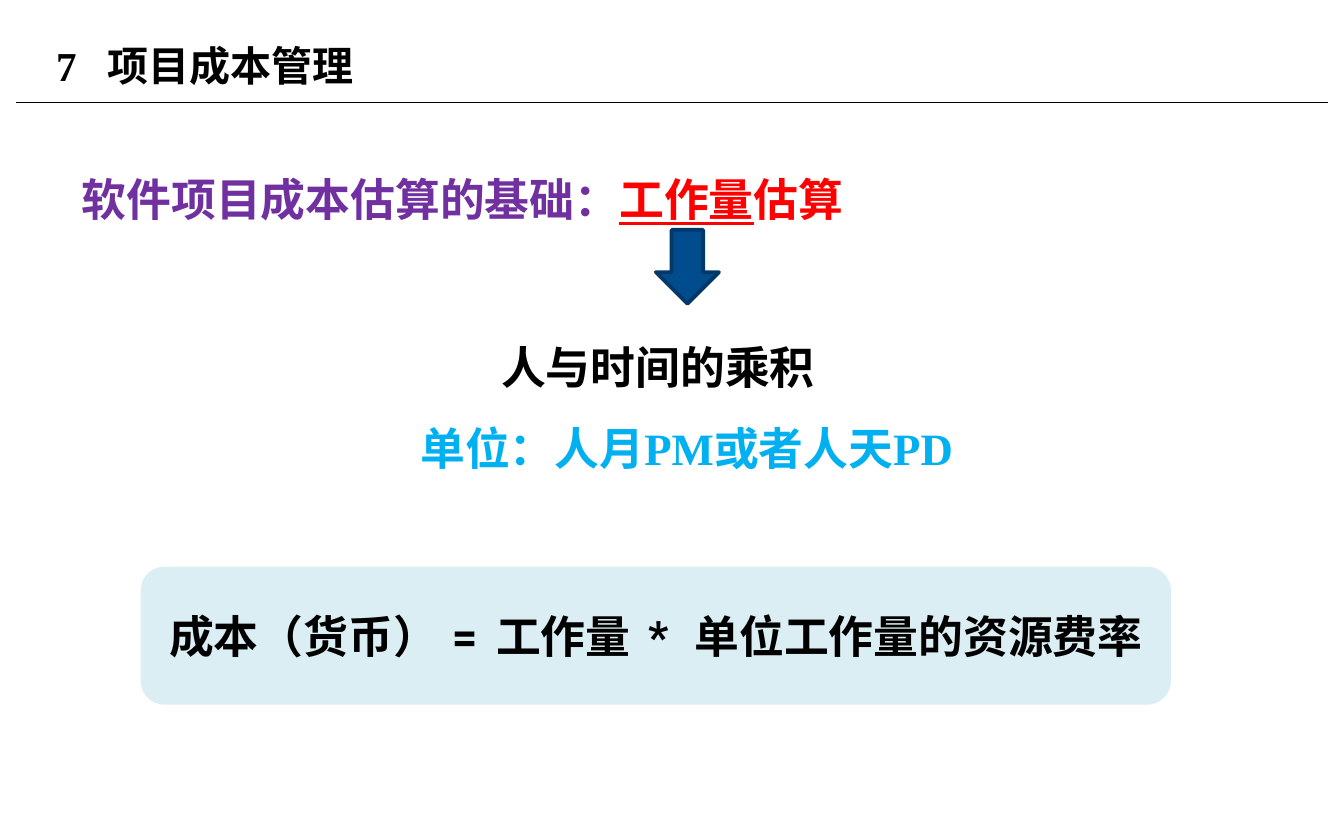
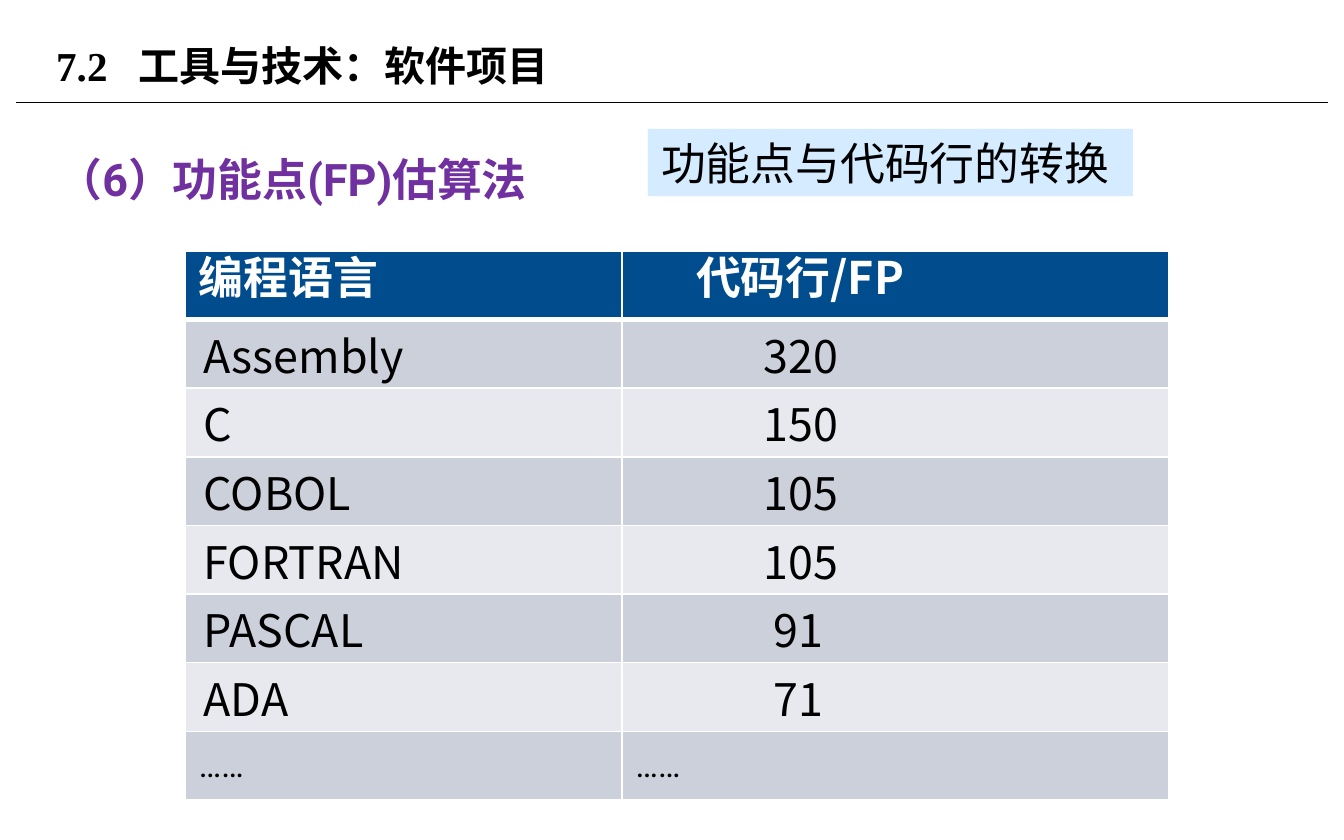
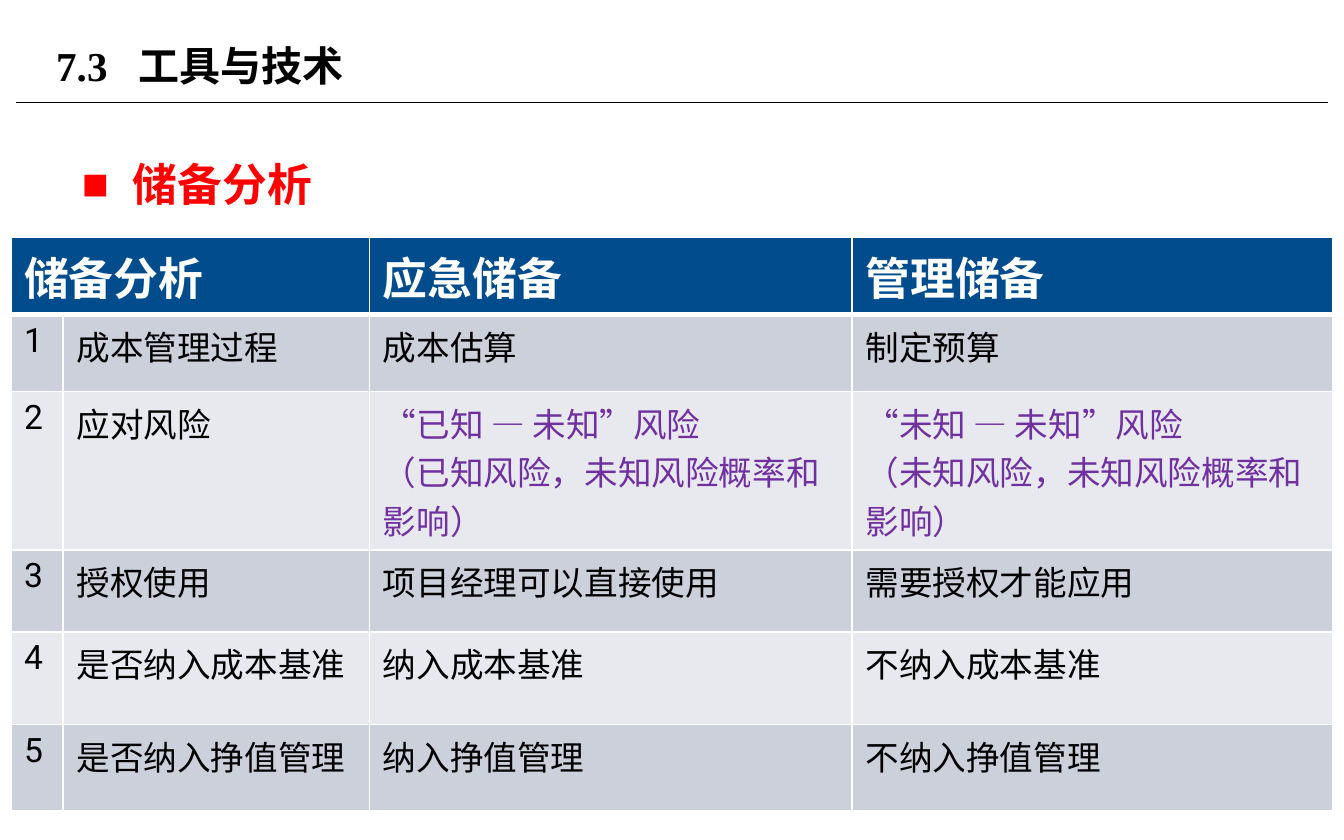
import pptx
import pptx.dml.color
import pptx.enum.shapes
import pptx.enum.text
import pptx.oxml
import pptx.oxml.ns
import pptx.util
from lxml import etree

HUES = {
    "ink": "000000", "paper": "FFFFFF", "violet": "7030A0", "red": "FF0000",
    "sky": "00B0F0", "navy": "014C8D", "edge": "013868", "mist": "DBEEF4",
    "pale": "D5EBFF", "odd": "CCD0DB", "even": "E7E9EE",
}
RGB = {name: pptx.dml.color.RGBColor.from_string(code) for name, code in HUES.items()}
SERIF, SANS, HAN, CJK = "Times New Roman", "Roboto", "Noto Sans CJK JP", "Noto Sans CJK SC"
SHAPE = pptx.enum.shapes.MSO_SHAPE
MID = pptx.enum.text.MSO_ANCHOR.MIDDLE
TOP = pptx.enum.text.MSO_ANCHOR.TOP
Pt = pptx.util.Pt
qn = pptx.oxml.ns.qn

deck = pptx.Presentation()
deck.slide_width = pptx.util.Inches(10)
deck.slide_height = pptx.util.Inches(6.25)
UNIT = deck.slide_width / 100  # the slide is a grid of 100 columns by 62.5 rows


def grid(*spans):
    """Turn grid units into lengths."""
    return [round(span * UNIT) for span in spans]


def put(frame, lines, font, size, hue, bold=True, left=0, lead=None):
    """Fill a frame; each line is a list of runs, left is its indent in grid units."""
    frame.word_wrap = True
    frame.text = "\n".join(line[0] for line in lines)
    for par, line in zip(frame.paragraphs, lines):
        for piece in line[1:]:
            par.add_run().text = piece
        if left:
            par._p.get_or_add_pPr().set("marL", str(grid(left)[0]))
        if lead:
            par.line_spacing = lead
        for run in par.runs:
            run.font.name, run.font.size, run.font.bold = font, Pt(size), bold
            run.font.color.rgb = RGB[hue]
            east = etree.SubElement(run._r.get_or_add_rPr(), qn("a:ea"))
            east.set("typeface", HAN if font == HAN else CJK)


# Shared title and rule
slides = []
for mark, name, stop, wide in [
    ("7", "项目成本管理", 3.8, 63.8),
    ("7.2", "工具与技术：软件项目", 6.1, 72.8),
    ("7.3", "工具与技术", 6.1, 63.8),
]:
    slide = deck.slides.add_slide(deck.slide_layouts[6])
    slides.append(slide)
    rule = slide.shapes.add_connector(
        pptx.enum.shapes.MSO_CONNECTOR.STRAIGHT, *grid(1.2, 7.63, 98.8, 7.63))
    rule.line.color.rgb, rule.line.width = RGB["ink"], Pt(0.75)
    etree.SubElement(rule._element.spPr, qn("a:effectLst"))
    title = slide.shapes.add_textbox(*grid(3.2, 1.3, wide, 7.1)).text_frame
    put(title, [[f"{mark}\t{name}"]], SERIF, 22, "ink")
    title.vertical_anchor = MID
    tabs = etree.SubElement(title.paragraphs[0]._p.get_or_add_pPr(), qn("a:tabLst"))
    etree.SubElement(tabs, qn("a:tab"), pos=str(grid(stop)[0]), algn="l")
cost, points, spare = slides

# Headings
heads = []
for slide, x, y, runs, font, hue in [
    (cost, 5.1, 10.3, ["软件项目成本估算的基础：", "工作量", "估算"], SERIF, "violet"),
    (points, 3.3, 8.8, ["（6）功能点(FP)估算法"], SANS, "violet"),
    (spare, 5.1, 9.2, ["储备分析"], SERIF, "red"),
]:
    head = slide.shapes.add_textbox(*grid(x, y, 89.8, 39)).text_frame
    put(head, [runs], font, 24, hue, lead=1.5)
    heads.append(head.paragraphs[0])
for run in heads[0].runs[1:]:
    run.font.color.rgb = RGB["red"]
heads[0].runs[1].font.underline = True
props = heads[2]._p.get_or_add_pPr()
props.set("marL", str(grid(3.8)[0]))
props.set("indent", str(grid(-3.8)[0]))
etree.SubElement(props, qn("a:buFont"), typeface=SERIF)
etree.SubElement(props, qn("a:buChar"), char="■")

# Cost: effort, its unit and the formula
effort = cost.shapes.add_textbox(*grid(30.3, 22.8, 41.7, 12.4)).text_frame
put(effort, [["人与时间的乘积"], ["单位：人月PM或者人天PD"]], SERIF, 24, "ink", lead=1.5)
effort.paragraphs[0]._p.get_or_add_pPr().set("marL", str(grid(6)[0]))
effort.paragraphs[1].runs[0].font.color.rgb = RGB["sky"]

plates = []
for slide, kind, spot, fill, edge in [
    (cost, SHAPE.DOWN_ARROW, (48.8, 17.1, 4.7, 5.5), "navy", "edge"),
    (cost, SHAPE.ROUNDED_RECTANGLE, (10.6, 42.3, 76.4, 10), "mist", "mist"),
    (points, SHAPE.RECTANGLE, (48.2, 9.6, 36.1, 5), "pale", None),
]:
    plate = slide.shapes.add_shape(kind, *grid(*spot))
    plate.shadow.inherit = False
    plate.fill.solid()
    plate.fill.fore_color.rgb = RGB[fill]
    if edge:
        plate.line.color.rgb, plate.line.width = RGB[edge], Pt(2)
    else:
        plate.line.fill.background()
    plates.append(plate.text_frame)
sums, note = plates[1:]
put(sums, [["成本（货币）", " = ", "工作量", " * ", "单位工作量的资源费率"]], SANS, 24, "ink")
sums.vertical_anchor = MID
sums.paragraphs[0].alignment = pptx.enum.text.PP_ALIGN.CENTER
for spot, space in [(1, 200), (3, 400)]:
    sums.paragraphs[0].runs[spot]._r.get_or_add_rPr().set("spc", str(space))
put(note, [["功能点与代码行的转换"]], SANS, 24, "ink", bold=False)
note.vertical_anchor = TOP
note.paragraphs[0].alignment = pptx.enum.text.PP_ALIGN.LEFT

# Tables: lines of code per function point, and the two kinds of reserve
rates = [
    ["编程语言", "代码行/FP"], ["Assembly", "320"], ["C", "150"], ["COBOL", "105"],
    ["FORTRAN", "105"], ["PASCAL", "91"], ["ADA", "71"], ["……", "……"],
]
funds = [
    ["储备分析", "", "应急储备", "管理储备"],
    ["1", "成本管理过程", "成本估算", "制定预算"],
    ["2", "应对风险", "“已知 — 未知”风险\n（已知风险，未知风险概率和影响）",
     "“未知 — 未知”风险\n（未知风险，未知风险概率和影响）"],
    ["3", "授权使用", "项目经理可以直接使用", "需要授权才能应用"],
    ["4", "是否纳入成本基准", "纳入成本基准", "不纳入成本基准"],
    ["5", "是否纳入挣值管理", "纳入挣值管理", "不纳入挣值管理"],
]
for slide, rows, x, y, wides, highs in [
    (points, rates, 13.8, 18.67, [32.5, 40.7], [5.11] * 8),
    (spare, funds, 0.8, 17.65, [3.9, 22.8, 35.9, 35.8], [5.77, 5.7, 11.8, 6.1, 6.9, 6.4]),
]:
    table = slide.shapes.add_table(
        len(rows), len(wides), *grid(x, y, sum(wides), sum(highs))).table
    for col, wide in zip(table.columns, grid(*wides)):
        col.width = wide
    for row, high in zip(table.rows, grid(*highs)):
        row.height = high
    for r, row in enumerate(rows):
        for c, text in enumerate(row):
            cell = table.cell(r, c)
            top = r == 0
            hue, size, left, lead = "paper" if top else "ink", 24, 0, None
            if rows is rates:
                cell.vertical_anchor = MID
                font = HAN
                if text == "……":
                    font, size = SANS, 18
                else:
                    cell.margin_left = cell.margin_right = 0
                    cell.margin_top = cell.margin_bottom = 0
                    if top:
                        left, lead = [1, 5.5][c], Pt(24)
                    else:
                        left = 1.35 if c == 0 else 10.5 + 0.75 * (3 - len(text))
            else:
                font = SERIF if c > 1 else SANS
                size = 24 if top else 18
                if r == 2 and c > 1:
                    hue = "violet"
            if text:
                put(cell.text_frame, [[line] for line in text.split("\n")],
                    font, size, hue, top, left, lead)
            cell.fill.solid()
            cell.fill.fore_color.rgb = RGB["navy" if top else "odd" if r % 2 else "even"]
            for n, side in enumerate("LRTB"):
                thick = 3 if (r, side) in [(0, "B"), (1, "T")] else 1
                line = etree.Element(qn(f"a:ln{side}"), w=str(Pt(thick)))
                paint = etree.SubElement(line, qn("a:solidFill"))
                etree.SubElement(paint, qn("a:srgbClr"), val=HUES["paper"])
                cell._tc.get_or_add_tcPr().insert(n, line)
    if rows is funds:
        table.cell(0, 0).merge(table.cell(0, 1))

deck.save("out.pptx")
